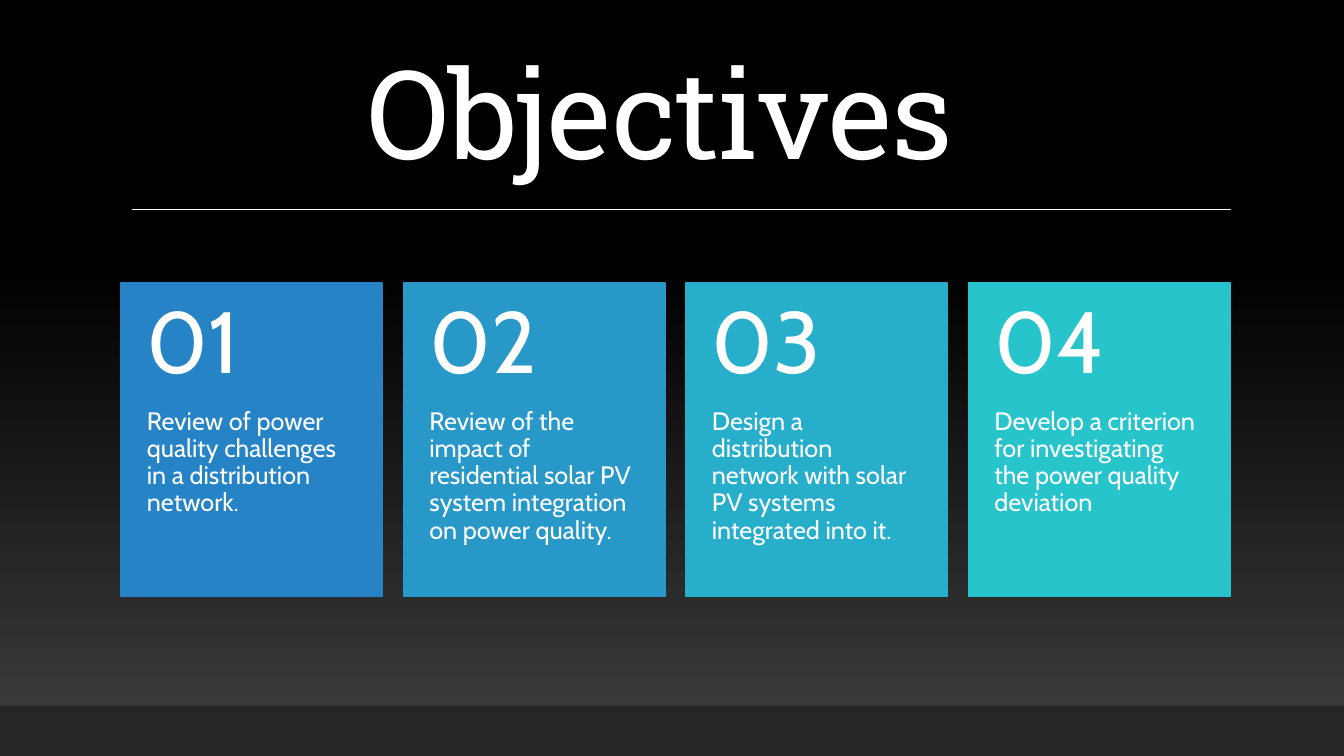
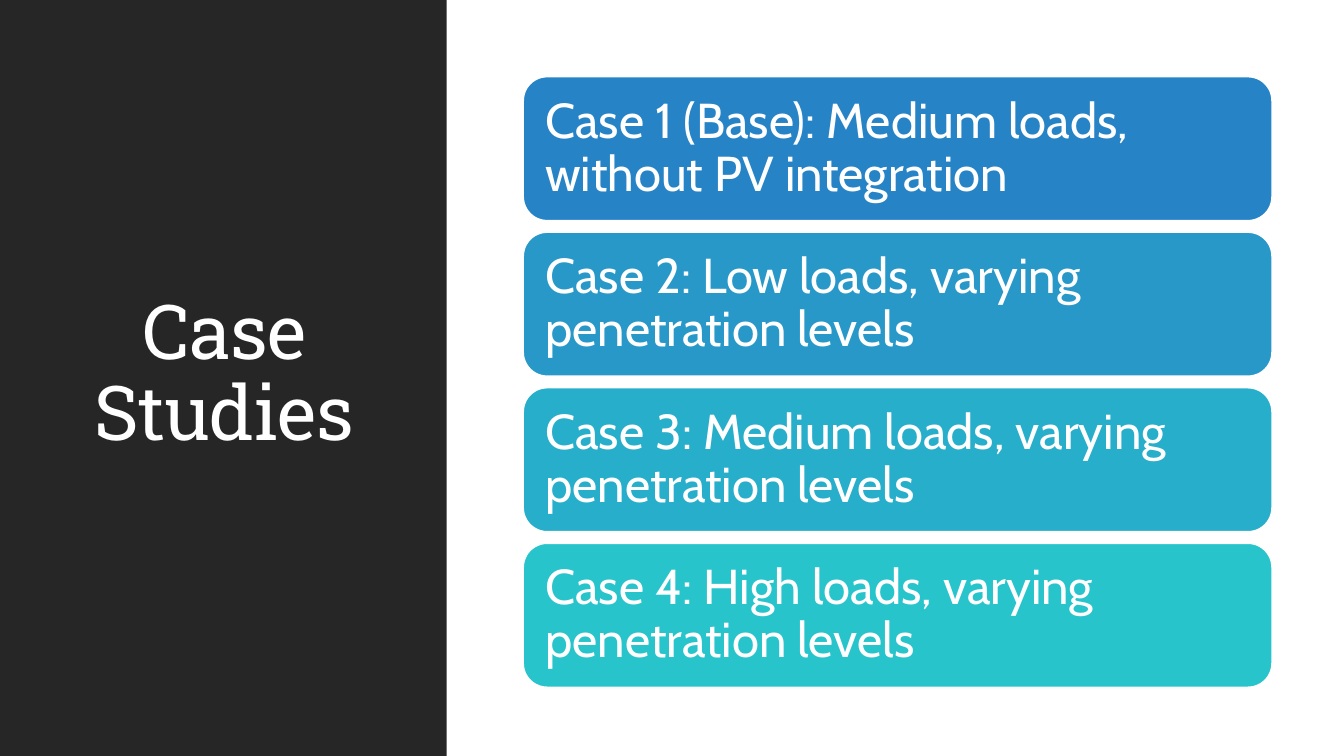
import pptx
import pptx.dml.color
import pptx.enum.shapes
import pptx.enum.text
import pptx.oxml.ns
import pptx.util
from lxml import etree

Pt = pptx.util.Pt
Shape = pptx.enum.shapes.MSO_SHAPE
Anchor = pptx.enum.text.MSO_ANCHOR
Align = pptx.enum.text.PP_ALIGN


def rgb(color):
    return pptx.dml.color.RGBColor.from_string(color)


class Deck:
    WIDTH, HEIGHT = 960, 540
    TITLE_FONT, BODY_FONT = "Roboto Slab", "Cabin"
    WHITE, BLACK, DARK, GREY = "FFFFFF", "000000", "262626", "3F3F3F"
    ACCENTS = ("2683C6", "2798C8", "27AECA", "28C4CC")
    INSETS = (7.2, 3.6, 7.2, 3.6)

    def __init__(self):
        self.prs = pptx.Presentation()
        self.prs.slide_width = Pt(self.WIDTH)
        self.prs.slide_height = Pt(self.HEIGHT)
        self.slide = None

    def new_slide(self):
        self.slide = self.prs.slides.add_slide(self.prs.slide_layouts[6])
        return self.slide.background.fill

    def plain_slide(self):
        fill = self.new_slide()
        fill.solid()
        fill.fore_color.rgb = rgb(self.WHITE)

    def gradient_slide(self):
        fill = self.new_slide()
        fill.gradient()
        fill.gradient_angle = 90
        stops = ((0, self.GREY), (0.65, self.BLACK))
        for stop, (position, color) in zip(fill.gradient_stops, stops):
            stop.position = position
            stop.color.rgb = rgb(color)

    def block(self, box, color, outline=None, kind=Shape.RECTANGLE):
        shape = self.slide.shapes.add_shape(kind, *map(Pt, box))
        shape.shadow.inherit = False
        shape.fill.solid()
        shape.fill.fore_color.rgb = rgb(color)
        if outline:
            shape.line.color.rgb = rgb(outline)
            shape.line.width = Pt(1.25)
        else:
            shape.line.fill.background()
        return shape

    def label(self, shape, text, size, font=BODY_FONT, anchor=Anchor.MIDDLE,
              align=Align.LEFT, insets=INSETS):
        frame = shape.text_frame
        frame.word_wrap = True
        frame.vertical_anchor = anchor
        (frame.margin_left, frame.margin_top,
         frame.margin_right, frame.margin_bottom) = map(Pt, insets)
        paragraph = frame.paragraphs[0]
        paragraph.alignment = align
        paragraph.line_spacing = 0.9
        run = paragraph.add_run()
        run.text = text
        run.font.name = font
        run.font.size = Pt(size)
        run.font.color.rgb = rgb(self.WHITE)
        return run

    def text(self, box, text, size, **style):
        return self.label(self.slide.shapes.add_textbox(*map(Pt, box)), text, size, **style)

    def title(self, box, text, size, anchor):
        run = self.text(box, text, size, font=self.TITLE_FONT, anchor=anchor,
                        align=Align.CENTER)
        run._r.get_or_add_rPr().set("spc", "-50")  # letter spacing of -0.5 pt

    def rule(self, left, right, y):
        line = self.slide.shapes.add_connector(
            pptx.enum.shapes.MSO_CONNECTOR.STRAIGHT, Pt(left), Pt(y), Pt(right), Pt(y))
        line.line.color.rgb = rgb(self.WHITE)
        line.line.width = Pt(1)
        etree.SubElement(line._element.spPr, pptx.oxml.ns.qn("a:effectLst"))


def objectives(deck):
    deck.gradient_slide()
    deck.title((86.4, 22.3, 792, 114.5), "Objectives ", 88, Anchor.BOTTOM)
    deck.rule(94.3, 879.1, 149.6)
    deck.block((0, 504, deck.WIDTH, 36), deck.DARK)

    # Numbered cards
    goals = (
        "Review of power quality challenges in a distribution network.",
        "Review of the impact of residential solar PV system integration on power quality.",
        "Design a distribution network with solar PV systems integrated into it.",
        "Develop a criterion for investigating the power quality deviation",
    )
    top, width, height, number_height = 202.2, 186.7, 224, 89.6
    for index, (goal, color) in enumerate(zip(goals, deck.ACCENTS)):
        left = 86.4 + index * 201.8
        card = deck.block((left, top, width, height), color, outline=color)
        deck.label(card, goal, 18, anchor=Anchor.TOP,
                   insets=(18.5, number_height, 18.5, 25.9))
        deck.text((left, top, width, number_height), f"{index + 1:02d}", 62,
                  insets=(18.5, 13, 18.5, 13))


def case_studies(deck):
    deck.plain_slide()
    deck.block((0, 0, 319, deck.HEIGHT), deck.DARK)
    deck.title((38.9, 41, 242.6, 454.3), "Case Studies", 54, Anchor.MIDDLE)

    # Stacked cases
    cases = (
        "Case 1 (Base): Medium loads, without PV integration",
        "Case 2: Low loads, varying penetration levels",
        "Case 3: Medium loads, varying penetration levels",
        "Case 4: High loads, varying penetration levels",
    )
    for index, (case, color) in enumerate(zip(cases, deck.ACCENTS)):
        bar = deck.block((373.7, 54.7 + index * 111.1, 535, 103), color,
                         outline=deck.WHITE, kind=Shape.ROUNDED_RECTANGLE)
        deck.label(bar, case, 35, insets=(10.8,) * 4)


def main():
    deck = Deck()
    objectives(deck)
    case_studies(deck)
    deck.prs.save("out.pptx")


if __name__ == "__main__":
    main()
